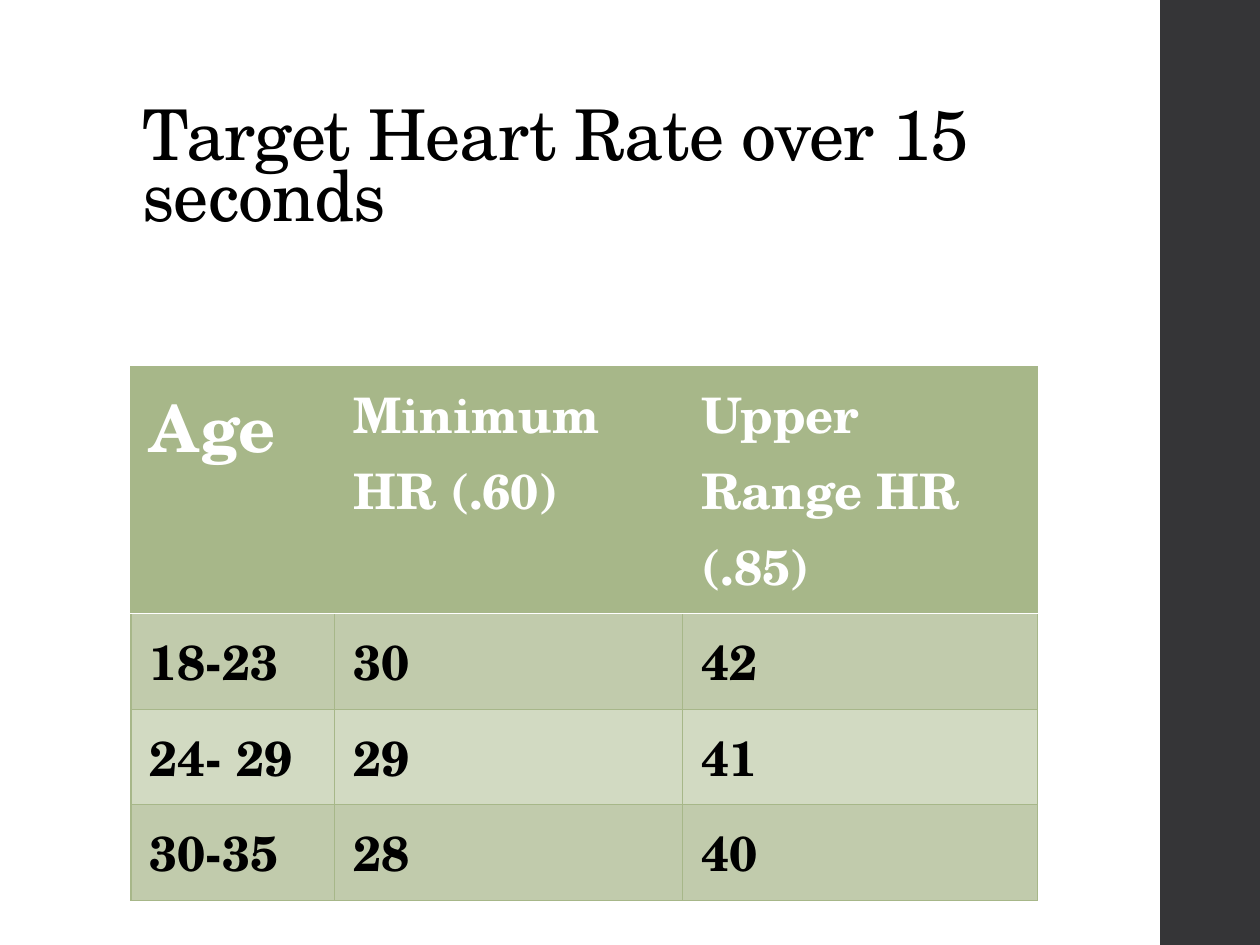
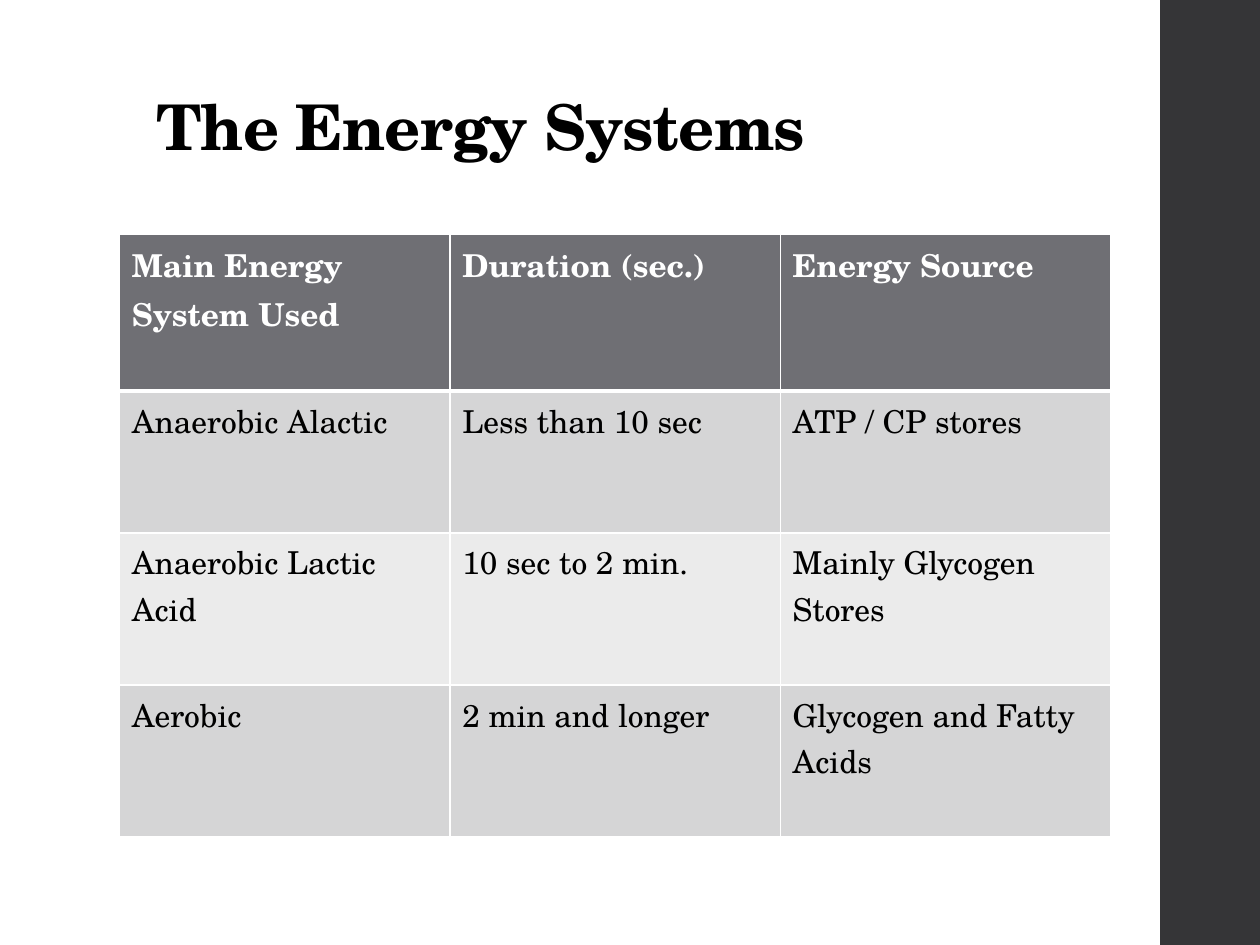
from lxml import etree
from pptx import Presentation
from pptx.dml.color import RGBColor
from pptx.enum.shapes import MSO_SHAPE
from pptx.enum.text import MSO_ANCHOR, MSO_AUTO_SIZE, PP_ALIGN
from pptx.oxml.ns import qn
from pptx.util import Cm, Pt

RECT = MSO_SHAPE.RECTANGLE
LEFT = PP_ALIGN.LEFT
TOP, BOTTOM = MSO_ANCHOR.TOP, MSO_ANCHOR.BOTTOM
FIXED = MSO_AUTO_SIZE.NONE
TITLE_ONLY = 5

FONT = "TeX Gyre Schola"
WIDE, HIGH = 25.4, 19.05
BAND_X = 23.39
HEX = {
    "band": "353537", "black": "000000", "white": "FFFFFF",
    "green": "A7B789", "sage": "C1CBAC", "mint": "D2DAC2",
    "gray": "6F6F74", "ash": "D5D5D6", "mist": "EBEBEB",
}

SLIDES = [
    {
        "title": "Target Heart Rate over 15 seconds",
        "box": (2.62, 1.17, 20.19, 3.68), "size": 40, "bold": False,
        "rows": [
            ("Age", "Minimum HR (.60)", "Upper Range HR (.85)"),
            ("18-23", "30", "42"),
            ("24- 29", "29", "41"),
            ("30-35", "28", "40"),
        ],
        "at": (2.64, 7.39),
        "cols": (4.11, 7.01, 7.16), "heights": (4.98, 1.91, 1.91, 1.91),
        "pad": (0.38, 0.2), "text": 28, "first": 37, "strong": True,
        "head": "green", "stripes": ("sage", "mint"),
        "grid": ("green", 0.75), "rule": ("white", 1.1),
    },
    {
        "title": "The Energy Systems",
        "box": (2.9, 1.6, 19.51, 1.78), "size": 36, "bold": True,
        "rows": [
            ("Main Energy System Used", "Duration (sec.)", "Energy Source"),
            ("Anaerobic Alactic", "Less than 10 sec", "ATP / CP stores"),
            ("Anaerobic Lactic Acid", "10 sec to 2 min.",
             "Mainly Glycogen Stores"),
            ("Aerobic", "2 min and longer", "Glycogen and Fatty Acids"),
        ],
        "at": (2.41, 4.72),
        "cols": (6.66, 6.66, 6.66), "heights": (3.16, 2.86, 3.07, 3.05),
        "pad": (0.25, 0.13), "text": 18, "first": 18, "strong": False,
        "head": "gray", "stripes": ("ash", "mist"),
        "grid": ("white", 1), "rule": ("white", 3),
    },
]


def tint(name):
    return RGBColor.from_string(HEX[name])


def write(para, text, size, color, bold):
    run = para.add_run()
    run.text = text
    font = run.font
    font.name, font.size, font.bold = FONT, Pt(size), bold
    font.color.rgb = tint(color)
    return run


def add_band(slide):
    band = slide.shapes.add_shape(
        RECT, Cm(BAND_X), 0, Cm(WIDE - BAND_X), Cm(HIGH))
    band.shadow.inherit = False
    band.fill.solid()
    band.fill.fore_color.rgb = tint("band")
    band.line.fill.background()


def set_title(slide, data):
    title = slide.shapes.title
    title.left, title.top, title.width, title.height = map(Cm, data["box"])
    frame = title.text_frame
    frame.word_wrap = True
    frame.auto_size = FIXED
    frame.vertical_anchor = BOTTOM
    para = frame.paragraphs[0]
    para.alignment = LEFT
    para.line_spacing = 0.73
    run = write(para, data["title"], data["size"], "black", data["bold"])
    run._r.get_or_add_rPr().set("spc", "-50")


def edge(cell, side, color, width):
    """Draw one border of a cell; call before the cell is filled."""
    line = etree.SubElement(cell._tc.get_or_add_tcPr(), qn(f"a:ln{side}"),
                            w=str(Pt(width)))
    fill = etree.SubElement(line, qn("a:solidFill"))
    etree.SubElement(fill, qn("a:srgbClr"), val=HEX[color])


def fill_cell(cell, text, row, col, data):
    head = row == 0
    rules = {"T": row == 1, "B": head}
    for side in "LRTB":
        edge(cell, side, *data["rule" if rules.get(side) else "grid"])
    cell.fill.solid()
    cell.fill.fore_color.rgb = tint(
        data["head"] if head else data["stripes"][(row - 1) % 2])
    across, down = map(Cm, data["pad"])
    cell.margin_left = cell.margin_right = across
    cell.margin_top = cell.margin_bottom = down
    cell.vertical_anchor = TOP
    size = data["first"] if head and col == 0 else data["text"]
    write(cell.text_frame.paragraphs[0], text, size,
          "white" if head else "black", head or data["strong"])


def add_grid(slide, data):
    rows, cols, heights = data["rows"], data["cols"], data["heights"]
    left, top = data["at"]
    table = slide.shapes.add_table(
        len(rows), len(cols), Cm(left), Cm(top),
        Cm(sum(cols)), Cm(sum(heights))).table
    table.horz_banding = False
    for col, width in zip(table.columns, cols):
        col.width = Cm(width)
    for row, height in zip(table.rows, heights):
        row.height = Cm(height)
    for r, texts in enumerate(rows):
        for c, text in enumerate(texts):
            fill_cell(table.cell(r, c), text, r, c, data)


def main():
    deck = Presentation()
    deck.slide_width, deck.slide_height = Cm(WIDE), Cm(HIGH)
    for data in SLIDES:
        slide = deck.slides.add_slide(deck.slide_layouts[TITLE_ONLY])
        add_band(slide)
        set_title(slide, data)
        add_grid(slide, data)
    deck.save("out.pptx")


if __name__ == "__main__":
    main()
